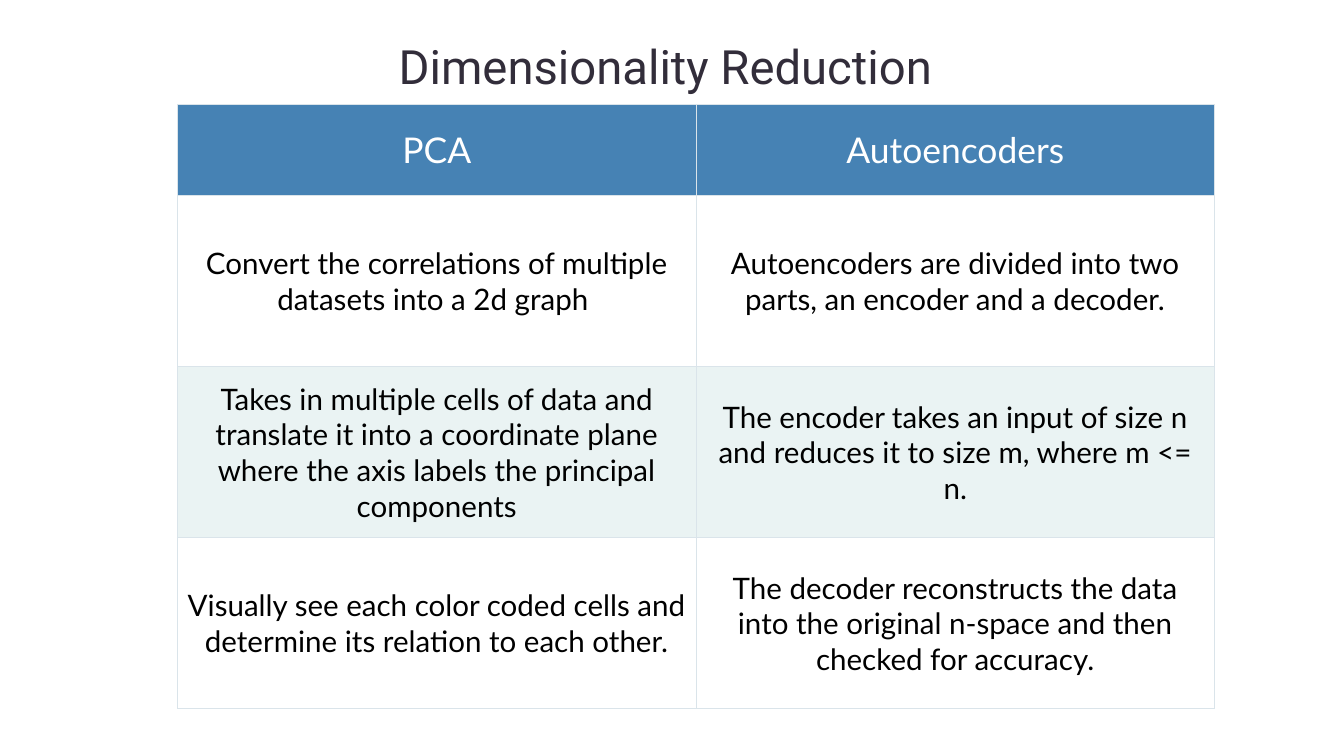
"""Build a slide that compares PCA with autoencoders."""
from lxml.etree import SubElement
from pptx import Presentation
from pptx.dml.color import RGBColor
from pptx.enum.text import MSO_ANCHOR as Anchor, PP_ALIGN as Align
from pptx.oxml.ns import qn
from pptx.util import Inches, Pt

COLORS = {
    "title": "322D3A",
    "header": "4682B4",
    "header_text": "FFFFFF",
    "body_text": "000000",
    "plain": "FFFFFF",
    "band": "EAF3F3",
    "border": "DAE4EA",
}
TITLE_FONT = {"name": "Roboto", "size": Pt(36)}
HEADER_FONT = {"name": "Lato", "size": Pt(27)}
BODY_FONT = {"name": "Lato", "size": Pt(22.5)}
ROWS = [
    ("PCA", "Autoencoders"),
    (
        "Convert the correlations of multiple datasets into a 2d graph ",
        "Autoencoders are divided into two parts, an encoder and a decoder.",
    ),
    (
        "Takes in multiple cells of data and translate it into a coordinate "
        "plane where the axis labels the principal components",
        "The encoder takes an input of size n and reduces it to size m, "
        "where m <= n.",
    ),
    (
        "Visually see each color coded cells and determine its relation to "
        "each other.",
        "The decoder reconstructs the data into the original n-space and then "
        "checked for accuracy.",
    ),
]


def set_values(target, values):
    for name, value in values.items():
        setattr(target, name, value)


def write_text(frame, text, font, color):
    para = frame.paragraphs[0]
    para.alignment = Align.CENTER
    span = para.add_run()
    span.text = text
    set_values(span.font, font)
    span.font.color.rgb = RGBColor.from_string(COLORS[color])


def add_title(page, text):
    box = page.shapes.add_textbox(
        Inches(1.04), Inches(0.24), Inches(12.01), Inches(0.8)
    )
    set_values(box.text_frame, {
        "word_wrap": True,
        "vertical_anchor": Anchor.MIDDLE,
        "margin_left": Inches(0.1),
        "margin_top": Inches(0.1),
        "margin_right": Inches(0.1),
        "margin_bottom": 0,
    })
    write_text(box.text_frame, text, TITLE_FONT, "title")


def add_borders(cell):
    properties = cell._tc.get_or_add_tcPr()
    for position, side in enumerate(("lnL", "lnR", "lnT", "lnB")):
        line = SubElement(properties, qn(f"a:{side}"), w=str(Pt(0.75)))
        fill = SubElement(line, qn("a:solidFill"))
        SubElement(fill, qn("a:srgbClr"), val=COLORS["border"])
        properties.insert(position, line)


def format_cell(cell, text, font, text_color, fill):
    cell.vertical_anchor = Anchor.MIDDLE
    cell.fill.solid()
    cell.fill.fore_color.rgb = RGBColor.from_string(COLORS[fill])
    add_borders(cell)
    write_text(cell.text_frame, text, font, text_color)


def add_comparison(page, rows):
    table = page.shapes.add_table(
        len(rows), len(rows[0]),
        Inches(1.88), Inches(1.11), Inches(10.98), Inches(6.4),
    ).table
    for row_index, texts in enumerate(rows):
        is_header = row_index == 0
        table.rows[row_index].height = Inches(0.96 if is_header else 1.81)
        if is_header:
            style = HEADER_FONT, "header_text", "header"
        else:
            style = BODY_FONT, "body_text", "plain" if row_index % 2 else "band"
        for column_index, text in enumerate(texts):
            format_cell(table.cell(row_index, column_index), text, *style)


def main():
    deck = Presentation()
    set_values(deck, {"slide_width": Inches(14.23), "slide_height": Inches(8)})
    page = deck.slides.add_slide(deck.slide_layouts[6])
    add_title(page, "Dimensionality Reduction")
    add_comparison(page, ROWS)
    deck.save("out.pptx")


main()
